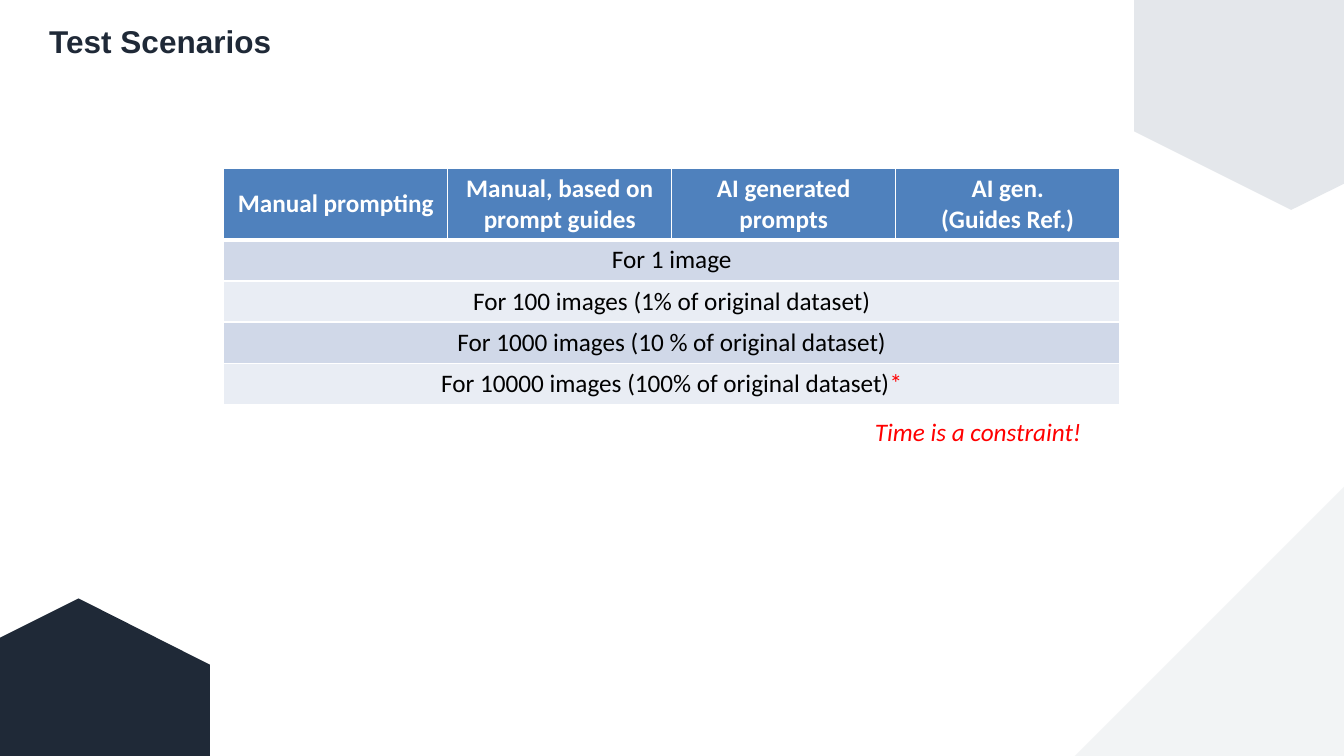
from lxml.etree import SubElement
from pptx import Presentation
from pptx.dml.color import RGBColor
from pptx.enum.text import MSO_ANCHOR, MSO_AUTO_SIZE, PP_ALIGN
from pptx.oxml.ns import qn
from pptx.util import Cm, Pt

WHITE = RGBColor(0xFF, 0xFF, 0xFF)
BLACK = RGBColor(0x00, 0x00, 0x00)
RED = RGBColor(0xFF, 0x00, 0x00)
NAVY = RGBColor(0x1F, 0x29, 0x37)
MIST = RGBColor(0xE4, 0xE7, 0xEB)
PALE = RGBColor(0xF2, 0xF4, 0xF5)
HEADER_BLUE = RGBColor(0x4F, 0x81, 0xBD)
BANDS = (RGBColor(0xD0, 0xD8, 0xE8), RGBColor(0xE9, 0xED, 0xF4))

SLIDE_WIDTH, SLIDE_HEIGHT = 33.87, 19.05
METHODS = ("Manual prompting", "Manual, based on prompt guides",
           "AI generated prompts", "AI gen.\v(Guides Ref.)")
SCALES = ("For 1 image", "For 100 images (1% of original dataset)",
          "For 1000 images (10 % of original dataset)",
          "For 10000 images (100% of original dataset)")
HEADER_HEIGHT = 1.78


def style_font(font, name, size, color, bold=False, italic=False):
    font.name, font.size = name, Pt(size)
    font.bold, font.italic = bold, italic
    font.color.rgb = color


def add_corner(slide, left, top, points, color):
    """Draw a polygon whose points, in cm, are relative to left and top."""
    outline = [(Cm(left + x), Cm(top + y)) for x, y in points]
    builder = slide.shapes.build_freeform(*outline[0])
    builder.add_line_segments(outline[1:], close=True)
    shape = builder.convert_to_shape()
    shape.shadow.inherit = False
    shape.fill.solid()
    shape.fill.fore_color.rgb = color
    shape.line.fill.background()


def add_decoration(slide, width, height):
    # Top right hexagon
    size = 5.29
    add_corner(slide, width - size, 0,
               [(0, 0), (size, 0), (size, 4.63), (3.96, size), (0, 3.31)], MIST)
    # Bottom left hexagon
    rise = 3.97
    add_corner(slide, 0, height - rise,
               [(0, 0.99), (1.98, 0), (size, 1.67), (size, rise), (0, rise)], NAVY)
    # Bottom right triangle
    side = 6.78
    add_corner(slide, width - side, height - side,
               [(0, side), (side, 0), (side, side)], PALE)


def add_title(slide, left, top, width, height):
    title = slide.shapes.title
    title.left, title.top, title.width, title.height = map(Cm, (left, top, width, height))
    frame = title.text_frame
    frame.margin_left = frame.margin_right = frame.margin_top = frame.margin_bottom = 0
    frame.vertical_anchor = MSO_ANCHOR.TOP
    frame.auto_size = MSO_AUTO_SIZE.NONE
    frame.text = "Test Scenarios"
    paragraph = frame.paragraphs[0]
    paragraph.alignment = PP_ALIGN.LEFT
    style_font(paragraph.font, "Arial", 22.5, NAVY, bold=True)


def set_borders(cell, bottom_width):
    """Give a cell white borders; call it before the cell gets its fill."""
    properties = cell._tc.get_or_add_tcPr()
    for side, width in (("L", 1), ("R", 1), ("T", 1), ("B", bottom_width)):
        line = SubElement(properties, qn(f"a:ln{side}"), w=str(Pt(width)))
        fill = SubElement(line, qn("a:solidFill"))
        SubElement(fill, qn("a:srgbClr"), val=str(WHITE))


def format_cell(cell, text, fill, color, bold=False, bottom_width=1):
    set_borders(cell, bottom_width)
    cell.fill.solid()
    cell.fill.fore_color.rgb = fill
    cell.text = text
    paragraph = cell.text_frame.paragraphs[0]
    paragraph.alignment = PP_ALIGN.CENTER
    style_font(paragraph.font, "Calibri", 18, color, bold)


def add_scenario_table(slide, left, top, width, height):
    columns, rows = len(METHODS), len(SCALES) + 1
    table = slide.shapes.add_table(rows, columns, Cm(left), Cm(top),
                                   Cm(width), Cm(height)).table
    # Header row
    table.rows[0].height = Cm(HEADER_HEIGHT)
    for column, method in enumerate(METHODS):
        cell = table.cell(0, column)
        format_cell(cell, method, HEADER_BLUE, WHITE, bold=True, bottom_width=3)
        cell.vertical_anchor = MSO_ANCHOR.MIDDLE
    # One merged row for each data set size
    for row, scale in enumerate(SCALES, start=1):
        table.rows[row].height = Cm((height - HEADER_HEIGHT) / len(SCALES))
        cell = table.cell(row, 0)
        cell.merge(table.cell(row, columns - 1))
        format_cell(cell, scale, BANDS[(row - 1) % 2], BLACK)
    # Red mark after the last size
    mark = cell.text_frame.paragraphs[0].add_run()
    mark.text = "*"
    mark.font.color.rgb = RED


def add_note(slide, left, top, width, height):
    frame = slide.shapes.add_textbox(Cm(left), Cm(top), Cm(width), Cm(height)).text_frame
    frame.word_wrap = True
    frame.text = "Time is a constraint!"
    style_font(frame.paragraphs[0].font, "Calibri", 18, RED, italic=True)


def main():
    presentation = Presentation()
    presentation.slide_width = Cm(SLIDE_WIDTH)
    presentation.slide_height = Cm(SLIDE_HEIGHT)
    title_only = presentation.slide_layouts[5]
    slide = presentation.slides.add_slide(title_only)
    add_decoration(slide, SLIDE_WIDTH, SLIDE_HEIGHT)
    add_title(slide, 1.24, 0.56, 16.4, 0.97)
    add_scenario_table(slide, 5.64, 4.24, 22.58, 5.92)
    add_note(slide, 21.8, 10.36, 10.6, 1.03)
    presentation.save("out.pptx")


if __name__ == "__main__":
    main()
